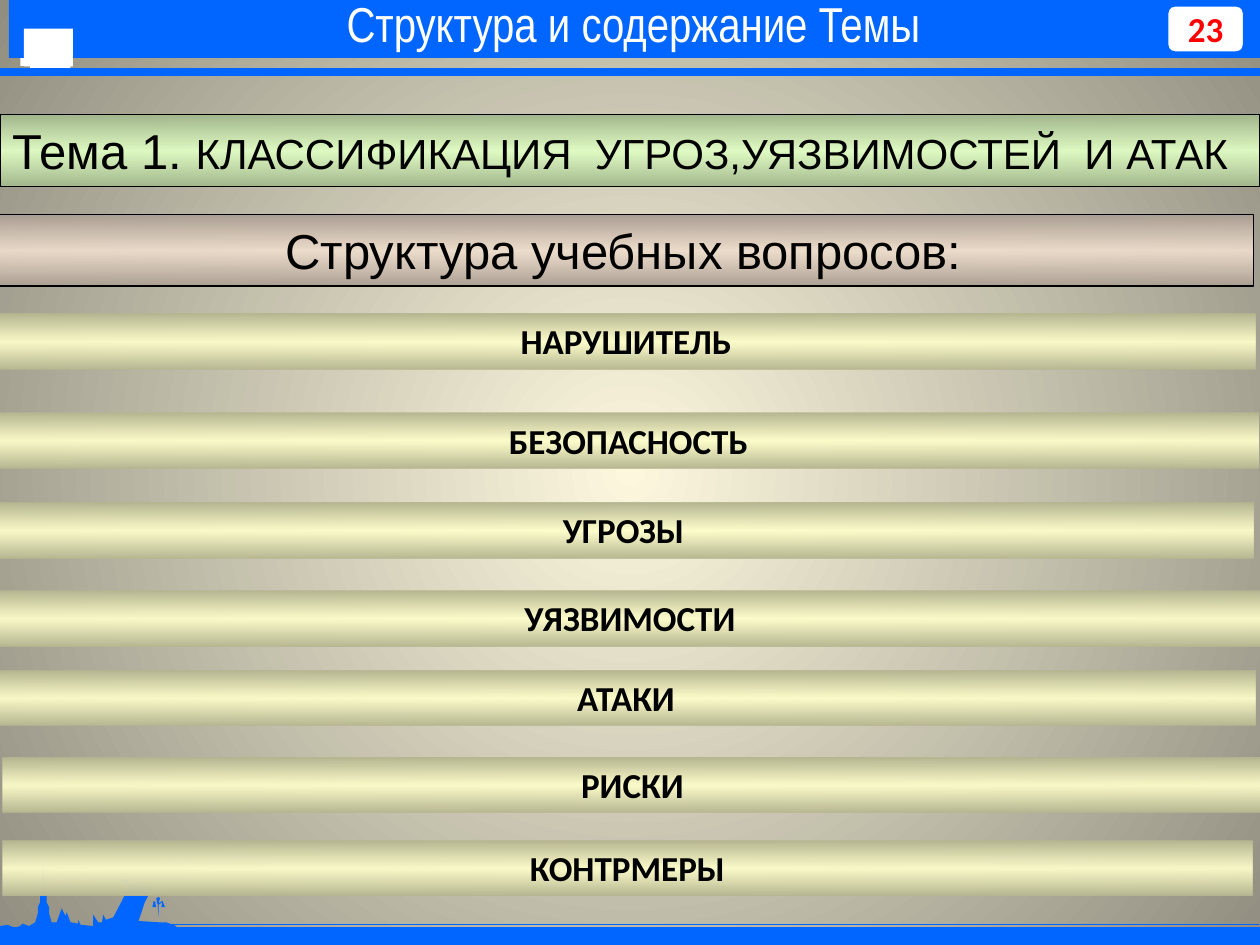
from lxml.etree import SubElement
from pptx import Presentation
from pptx.dml.color import RGBColor
from pptx.enum.shapes import MSO_CONNECTOR, MSO_SHAPE
from pptx.enum.text import MSO_ANCHOR, MSO_AUTO_SIZE, PP_ALIGN
from pptx.oxml import parse_xml
from pptx.oxml.ns import nsdecls, qn
from pptx.util import Cm, Pt

BLUE = RGBColor(0x00, 0x66, 0xFF)
WHITE = RGBColor(0xFF, 0xFF, 0xFF)
BLACK = RGBColor(0x00, 0x00, 0x00)
RED = RGBColor(0xFF, 0x00, 0x00)
GREEN = RGBColor(0xE2, 0xFF, 0xC5)
SAND = RGBColor(0xEF, 0xDE, 0xCD)
CREAM = RGBColor(0xFF, 0xFF, 0xCC)
GLOW = RGBColor(0xFC, 0xF7, 0xDD)
STONE = RGBColor(0x91, 0x8E, 0x81)

WIDE, HIGH = 25.4, 19.05
SHADE = '<a:shade val="46275"/>'
CLEAR = '<a:alpha val="93000"/>'
DOWN = '<a:lin ang="5400000" scaled="1"/>'
ROUND = ('<a:path path="circle"><a:fillToRect l="50000" t="50000" '
         'r="50000" b="50000"/></a:path>')

# Label, left, top and width of each topic bar, in cm
TOPICS = [
    ("НАРУШИТЕЛЬ", -0.08, 6.32, WIDE),
    ("БЕЗОПАСНОСТЬ", -0.03, 8.33, WIDE),
    ("УГРОЗЫ", -0.13, 10.13, WIDE),
    ("УЯЗВИМОСТИ", 0, 11.91, WIDE),
    ("АТАКИ", -0.08, 13.51, WIDE),
    ("РИСКИ", 0.05, 15.27, WIDE),
    ("КОНТРМЕРЫ", 0.05, 16.94, 25.2),
]

# Outlines in hundredths of an inch
TOWN = [
    (0, 746), (0, 735), (6, 734), (11, 736), (13, 736), (16, 735), (18, 733),
    (23, 735), (28, 732), (30, 725), (30, 720), (32, 716), (32, 710),
    (34, 710), (34, 682), (36, 710), (37, 710), (37, 716), (39, 720),
    (39, 725), (41, 732), (45, 732), (49, 721), (52, 727), (53, 724),
    (56, 732), (62, 733), (62, 730), (64, 734), (74, 735), (74, 726),
    (78, 732), (81, 732), (82, 726), (84, 730), (90, 728), (103, 703),
    (101, 701), (116, 704), (108, 699), (121, 705), (115, 716), (110, 731),
    (126, 732), (132, 732), (140, 735), (140, 746),
]
VANE = [
    (126, 728), (125, 717), (123, 716), (124, 720), (121, 720), (122, 715),
    (125, 717), (124, 713), (126, 712), (127, 713), (126, 717), (129, 715),
    (131, 720), (128, 720), (129, 716), (126, 718),
]
FLAG = [(100, 701), (96, 699), (96, 697), (102, 699), (101, 701)]


def blend(stops, shape):
    """Make a gradient from (place, colour, change) stops."""
    marks = "".join(
        f'<a:gs pos="{place * 1000}"><a:srgbClr val="{tint}">{change}'
        '</a:srgbClr></a:gs>' for place, tint, change in stops)
    return parse_xml(f'<a:gradFill {nsdecls("a")} rotWithShape="1">'
                     f'<a:gsLst>{marks}</a:gsLst>{shape}</a:gradFill>')


def swap(props, grad):
    """Put a gradient in the place of a solid fill."""
    props.replace(props.find(qn("a:solidFill")), grad)


class Board:
    def __init__(self, slide):
        self.slide = slide
        self.shapes = slide.shapes

    def back(self):
        self.slide.background.fill.solid()
        self.slide.background.fill.fore_color.rgb = GLOW
        props = next(self.slide.element.iter(qn("p:bgPr")))
        swap(props, blend([(0, GLOW, ""), (100, STONE, "")], ROUND))

    def paint(self, shape, fill, line=None, width=0.75):
        shape.shadow.inherit = False
        shape.fill.solid()
        shape.fill.fore_color.rgb = fill
        if line is None:
            shape.line.fill.background()
        else:
            shape.line.color.rgb = line
            shape.line.width = Pt(width)

    def box(self, left, top, wide, high, fill, line=None, width=0.75,
            kind=MSO_SHAPE.RECTANGLE):
        shape = self.shapes.add_shape(
            kind, Cm(left), Cm(top), Cm(wide), Cm(high))
        self.paint(shape, fill, line, width)
        return shape

    def band(self, left, top, wide, high, tint, line=None):
        """Add a bar that is light in the middle and dark at its edges."""
        shape = self.box(left, top, wide, high, tint, line)
        swap(shape.element.spPr, blend(
            [(0, tint, SHADE), (50, tint, CLEAR), (100, tint, SHADE)], DOWN))
        shape.text_frame.auto_size = MSO_AUTO_SIZE.SHAPE_TO_FIT_TEXT
        return shape

    def label(self, shape, runs, font, color, bold=False,
              align=PP_ALIGN.CENTER, anchor=MSO_ANCHOR.TOP):
        """Fill a shape with (text, size) runs."""
        frame = shape.text_frame
        frame.word_wrap = True
        frame.vertical_anchor = anchor
        para = frame.paragraphs[0]
        para.alignment = align
        for text, size in runs:
            run = para.add_run()
            run.text = text
            run.font.name = font
            run.font.size = Pt(size)
            run.font.bold = bold
            run.font.color.rgb = color

    def rule(self, start, end, top, width):
        line = self.shapes.add_connector(
            MSO_CONNECTOR.STRAIGHT, Cm(start), Cm(top), Cm(end), Cm(top))
        line.line.color.rgb = BLUE
        line.line.width = Pt(width)
        SubElement(line.element.spPr, qn("a:effectLst"))

    def trace(self, first, *others):
        """Draw closed outlines as one shape."""
        pen = self.shapes.build_freeform(*first[0], scale=Cm(2.54) / 100)
        pen.add_line_segments(first[1:], close=True)
        for points in others:
            pen.move_to(*points[0])
            pen.add_line_segments(points[1:], close=True)
        self.paint(pen.convert_to_shape(), BLUE)


def main():
    deck = Presentation()
    deck.slide_width, deck.slide_height = Cm(WIDE), Cm(HIGH)
    board = Board(deck.slides.add_slide(deck.slide_layouts[6]))
    board.back()

    board.box(0.61, 0.86, 0.81, 0.64, WHITE)
    board.box(0.41, 0.69, 0.81, 0.64, WHITE)
    title = board.box(0.18, -0.23, WIDE, 1.4, BLUE)
    board.label(title, [("Структура и содержание Темы ", 28)],
                "Arial Narrow", WHITE, anchor=MSO_ANCHOR.MIDDLE)

    board.trace(TOWN, VANE, FLAG)
    board.box(0, 18.69, WIDE, 0.38, BLUE)
    board.rule(WIDE, 0, 1.45, 4.5)
    board.rule(3.28, 25.37, 18.64, 0.75)
    board.box(0.48, 0.58, 0.99, 0.76, WHITE)
    badge = board.box(23.52, 0.1, 1.57, 0.97, WHITE, BLUE, 2,
                      MSO_SHAPE.ROUNDED_RECTANGLE)
    board.label(badge, [("23", 20)], "Calibri", RED, True,
                anchor=MSO_ANCHOR.MIDDLE)

    theme = board.band(0, 2.31, WIDE, 1.45, GREEN, BLACK)
    board.label(theme, [("Тема 1. ", 28),
                        ("КЛАССИФИКАЦИЯ  УГРОЗ,УЯЗВИМОСТЕЙ  И АТАК", 24)],
                "Arial", BLACK, align=PP_ALIGN.LEFT)
    head = board.band(-0.13, 4.32, WIDE, 1.45, SAND, BLACK)
    board.label(head, [("Структура учебных вопросов:", 28)], "Arial", BLACK)

    for name, left, top, wide in TOPICS:
        bar = board.band(left, top, wide, 1.12, CREAM)
        board.label(bar, [(name, 20)], "Calibri", BLACK, True)

    deck.save("out.pptx")


if __name__ == "__main__":
    main()
